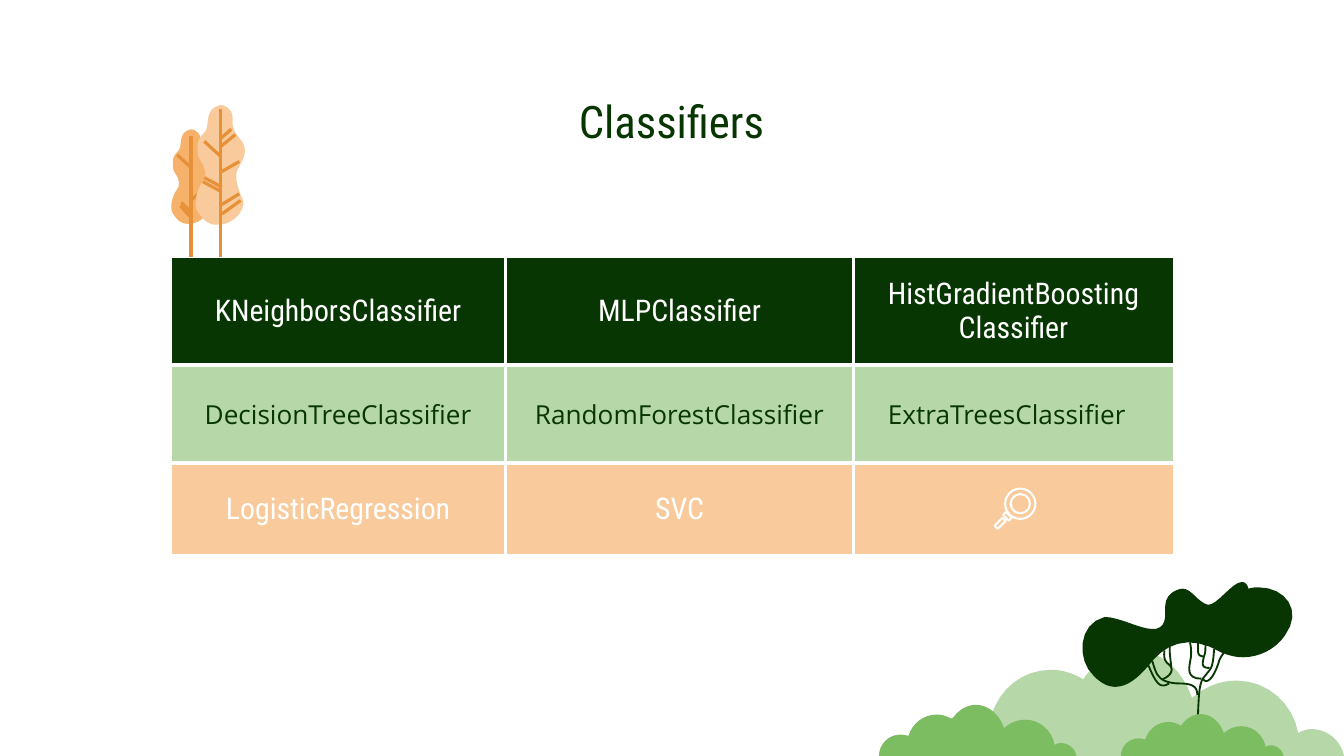
from lxml import etree
from pptx import Presentation
from pptx.dml.color import RGBColor
from pptx.enum.shapes import MSO_CONNECTOR, MSO_SHAPE
from pptx.enum.text import MSO_ANCHOR, PP_ALIGN
from pptx.oxml.ns import qn
from pptx.util import Pt

STRAIGHT = MSO_CONNECTOR.STRAIGHT
OVAL, ROUNDED = MSO_SHAPE.OVAL, MSO_SHAPE.ROUNDED_RECTANGLE
CENTER = PP_ALIGN.CENTER
MIDDLE, TOP = MSO_ANCHOR.MIDDLE, MSO_ANCHOR.TOP

COLORS = {"dark": "083603", "mint": "B6D7A8", "grass": "7DBD61", "peach": "F9CB9C",
          "orange": "F6B26B", "vein": "E69138", "white": "FFFFFF"}
HEAD, BODY = "Roboto Condensed", "Open Sans"
STEPS = 8  # straight pieces per curve

# Outlines: grid size, start point, then cubic curves (6 numbers) or lines (2)
BUSH_GRID = (308, 79)
BUSH = [(151, 0), (171, 0, 188, 15, 195, 36), (204, 28, 215, 23, 228, 23),
        (251, 23, 270, 40, 274, 62), (277, 60, 281, 59, 284, 59),
        (296, 59, 306, 68, 308, 79), (0, 79), (0, 61, 15, 46, 33, 46),
        (38, 46, 42, 47, 46, 48), (52, 29, 69, 15, 90, 15),
        (99, 15, 107, 18, 114, 22), (123, 9, 136, 0, 151, 0)]
LEAF_GRID = (38, 89)
LEAF = [(19, 0), (22, 0, 25, 2, 27, 5), (29, 9, 27, 14, 29, 18), (31, 24, 37, 27, 37, 33),
        (38, 39, 33, 44, 31, 50), (30, 56, 32, 61, 34, 67), (35, 69, 36, 71, 36, 73),
        (36, 76, 34, 79, 33, 81), (29, 86, 23, 89, 17, 89), (15, 89, 13, 89, 11, 88),
        (6, 86, 3, 81, 1, 77), (0, 72, 1, 66, 3, 62), (4, 59, 6, 57, 7, 55),
        (8, 52, 8, 50, 7, 47), (7, 45, 5, 43, 4, 41), (2, 38, 2, 35, 2, 32),
        (2, 30, 2, 28, 3, 26), (4, 23, 7, 21, 8, 19), (10, 15, 9, 10, 11, 6),
        (12, 3, 15, 1, 19, 0)]
SMALL_VEINS = [(19, 6, 19, 122), (6, 24, 19, 36), (29, 58, 19, 67), (9, 72, 19, 83),
               (10, 69, 19, 78)]
TALL_VEINS = [(19, 3, 19, 113), (27, 18, 19, 25), (30, 22, 19, 31), (33, 42, 19, 50),
              (33, 66, 20, 74), (34, 71, 20, 81), (19, 38, 7, 27), (20, 61, 7, 54),
              (19, 64, 6, 57)]
TREE_GRID = (169, 129)
CANOPY = [(123, 0), (116, 0, 105, 17, 98, 17), (90, 15, 86, 5, 79, 5), (77, 5, 74, 6, 71, 8),
          (62, 15, 69, 25, 64, 32), (62, 34, 60, 35, 57, 35), (47, 35, 32, 26, 21, 26),
          (1, 31, 0, 58, 13, 70), (19, 76, 24, 78, 29, 78), (38, 78, 46, 71, 53, 63),
          (65, 47, 82, 37, 109, 53), (115, 55, 119, 56, 124, 56), (136, 56, 148, 50, 155, 40),
          (169, 21, 155, 4, 136, 4), (133, 4, 131, 4, 128, 5), (127, 1, 125, 0, 123, 0)]
BRANCHES = [
    [(90.5, 129), (90.5, 97), (91, 87, 91, 77, 94, 72), (97, 68, 100, 65, 100.5, 63),
     (102, 59, 102, 54, 102.5, 50)],
    [(94, 72), (97, 77, 102, 71, 105.5, 61), (106.5, 57, 108, 55, 109.5, 53)],
    [(90, 84), (90, 77, 85, 75.5, 76, 75.5), (71, 75.5, 64, 74, 61.5, 70.5),
     (59, 68, 58, 64, 56.5, 59)],
    [(69, 75.5), (62, 80, 59, 75, 53.5, 62)],
    [(64, 72.5), (72, 69, 72, 64, 69, 61.5), (65, 59, 65, 55, 65.5, 51)],
    [(70.5, 63), (70, 57, 69, 52, 69.5, 48)],
    [(93, 72), (81, 72, 84, 63, 85, 57), (85.5, 54, 85.5, 49, 84.5, 45)],
    [(99, 64), (92, 64, 94, 60, 95, 55), (96, 53, 96, 50, 96, 47)],
    [(94.5, 55.5), (89.5, 55, 90.5, 52, 90.5, 45.5)],
]
ROWS = [
    (["KNeighborsClassifier", "MLPClassifier", "HistGradientBoosting\nClassifier"],
     57.6, "dark", HEAD, 16, "white"),
    (["DecisionTreeClassifier", "RandomForestClassifier", "ExtraTreesClassifier"],
     52.4, "mint", BODY, 14, "dark"),
    (["LogisticRegression", "SVC", ""], 49.4, "peach", HEAD, 16, "white"),
]


def rgb(name):
    return RGBColor.from_string(COLORS[name])


def style(sp, fill=None, line=None, width=1):
    sp.shadow.inherit = False
    if fill:
        sp.fill.solid()
        sp.fill.fore_color.rgb = rgb(fill)
    else:
        sp.fill.background()
    if line:
        sp.line.color.rgb = rgb(line)
        sp.line.width = Pt(width)
    else:
        sp.line.fill.background()


def trace(outline):
    points = [outline[0]]
    for seg in outline[1:]:
        if len(seg) == 2:
            points.append(seg)
            continue
        ends = [points[-1], seg[:2], seg[2:4], seg[4:]]
        for i in range(1, STEPS + 1):
            t = i / STEPS
            weights = ((1 - t) ** 3, 3 * t * (1 - t) ** 2, 3 * t * t * (1 - t), t ** 3)
            points.append(tuple(sum(w * e[k] for w, e in zip(weights, ends)) for k in (0, 1)))
    return points


def scaler(box, grid):
    x, y, w, h = box
    return lambda p: (Pt(x + p[0] * w / grid[0]), Pt(y + p[1] * h / grid[1]))


def add_outline(s, box, grid, outlines, closed=True, **look):
    place = scaler(box, grid)
    builder = None
    for outline in outlines:
        points = [place(p) for p in trace(outline)]
        if builder is None:
            builder = s.shapes.build_freeform(*points[0], scale=1.0)
        else:
            builder.move_to(*points[0])
        builder.add_line_segments(points[1:], close=closed)
    style(builder.convert_to_shape(), **look)


def add_landscape(s, box):
    x, y, w, h = box
    bottom = y + h

    def add_bush(left, width, height, color):
        add_outline(s, (left, bottom - height, width, height), BUSH_GRID, [BUSH], fill=color)

    add_bush(x + w - 221.76, 221.76, 57, "mint")
    tree = (x + 105.8, y, 121.68, 92.88)
    add_outline(s, tree, TREE_GRID, BRANCHES, closed=False, line="dark", width=1)
    add_outline(s, tree, TREE_GRID, [CANOPY], fill="dark")
    add_bush(x, 105.84, 27.4, "grass")
    add_bush(x + 129.6, 87.12, 22.4, "grass")


def add_title(s, box):
    tf = s.shapes.add_textbox(*map(Pt, box)).text_frame
    tf.word_wrap = True
    tf.vertical_anchor = TOP
    tf.margin_left = tf.margin_right = tf.margin_top = tf.margin_bottom = Pt(7.2)
    tf.text = "Classifiers"
    p = tf.paragraphs[0]
    p.alignment = CENTER
    font = p.runs[0].font
    font.name, font.size, font.color.rgb = HEAD, Pt(24), rgb("dark")


def add_poplar(s, box, color, veins):
    add_outline(s, box, LEAF_GRID, [LEAF], fill=color)
    place = scaler(box, LEAF_GRID)
    for vein in veins:
        line = s.shapes.add_connector(STRAIGHT, *place(vein[:2]), *place(vein[2:]))
        line.line.color.rgb = rgb("vein")
        line.line.width = Pt(1.73)
        etree.SubElement(line._element.spPr, qn("a:effectLst"))


def add_borders(cell, sides):
    tcPr = cell._tc.get_or_add_tcPr()
    for side in sides:
        ln = etree.SubElement(tcPr, qn(f"a:ln{side}"), w=str(Pt(2.25)))
        fill = etree.SubElement(ln, qn("a:solidFill"))
        etree.SubElement(fill, qn("a:srgbClr"), val=COLORS["white"])


def add_classifier_table(s, box):
    table = s.shapes.add_table(len(ROWS), 3, *map(Pt, box)).table
    table.first_row = table.horz_banding = False
    for col, width in zip(table.columns, (179.3, 186.5, 171.4)):
        col.width = Pt(width)
    for i, (names, height, fill, face, size, color) in enumerate(ROWS):
        table.rows[i].height = Pt(height)
        for j, name in enumerate(names):
            cell = table.cell(i, j)
            # Rules run only between cells
            inner = {"L": j > 0, "R": j < 2, "T": i > 0, "B": i < 2}
            add_borders(cell, [side for side, shown in inner.items() if shown])
            cell.fill.solid()
            cell.fill.fore_color.rgb = rgb(fill)
            cell.vertical_anchor = MIDDLE
            cell.margin_left = cell.margin_right = Pt(7.2)
            cell.margin_top = cell.margin_bottom = Pt(7.2)
            cell.text_frame.text = name
            for p in cell.text_frame.paragraphs:
                p.alignment = CENTER
                for r in p.runs:
                    r.font.name, r.font.size = face, Pt(size)
                    r.font.color.rgb = rgb(color)
    table.cell(1, 2).margin_left = 0


def add_magnifier(s, box):
    x, y, w, h = box
    # Centre, width, height and rotation of each part
    parts = [(OVAL, 0.6, 0.38, 16.2, 16.2, 0), (OVAL, 0.6, 0.38, 10.4, 10.4, 0),
             (ROUNDED, 0.3, 0.68, 2.2, 4.4, -45), (ROUNDED, 0.13, 0.85, 6, 2.4, -45)]
    for kind, cx, cy, width, height, angle in parts:
        sp = s.shapes.add_shape(kind, Pt(x + cx * w - width / 2), Pt(y + cy * h - height / 2),
                                Pt(width), Pt(height))
        sp.rotation = angle
        style(sp, line="white", width=1.1)


def main():
    prs = Presentation()
    prs.slide_width, prs.slide_height = Pt(720), Pt(405)
    s = prs.slides.add_slide(prs.slide_layouts[6])
    add_landscape(s, (470.9, 311.8, 249.1, 93.2))
    add_title(s, (56.2, 43.2, 607, 38.2))
    add_poplar(s, (91.5, 69.3, 21.6, 50.6), "orange", SMALL_VEINS)
    add_poplar(s, (104.4, 56.3, 27.4, 64.1), "peach", TALL_VEINS)
    add_classifier_table(s, (91.5, 138, 537.2, 159.4))
    add_magnifier(s, (532.8, 261.4, 23, 22.3))
    prs.save("out.pptx")


if __name__ == "__main__":
    main()
